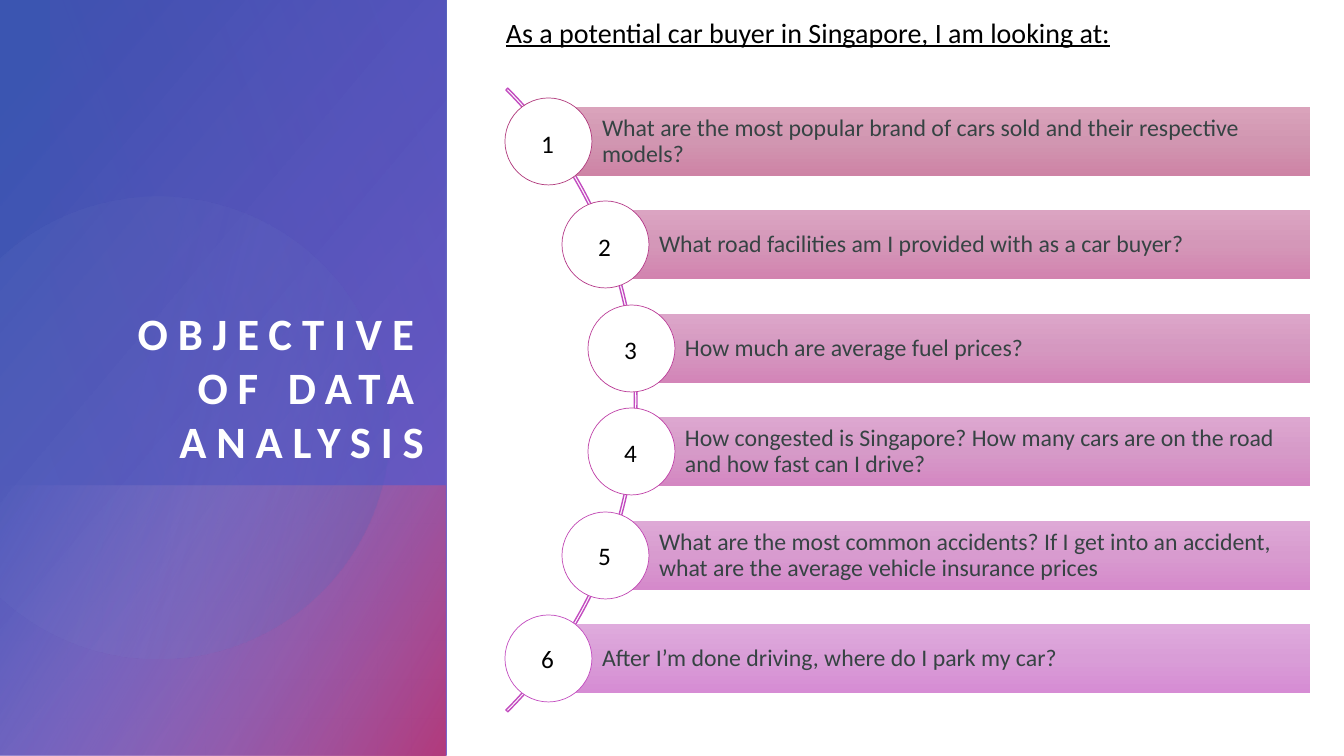
import math

import pptx
import pptx.util
import pptx.dml.color
import pptx.enum.shapes
import pptx.enum.text
import pptx.oxml.ns
from lxml import etree

SHAPES = pptx.enum.shapes.MSO_SHAPE
ALIGN = pptx.enum.text.PP_ALIGN
ANCHOR = pptx.enum.text.MSO_ANCHOR
FIT = pptx.enum.text.MSO_AUTO_SIZE
qn = pptx.oxml.ns.qn

EMU_PER_PX = 914400 / 100.8
COLOURS = {
    "white": "FFFFFF", "black": "000000", "text": "364343", "arc": "C34DC0",
    "blue": "3B55B1", "violet": "644DC3", "purple": "833BB1",
    "lilac": "A294DB", "pink": "B13B7D", "haze": "8496D6",
    "top1": "DAA3BB", "mid1": "D196B1", "low1": "CE83A5", "ring1": "B13B7D",
    "top2": "DBA4C2", "mid2": "D497B8", "low2": "D283AF", "ring2": "B63D8B",
    "top3": "DCA6C9", "mid3": "D598C0", "low3": "D385B8", "ring3": "BC3F99",
    "top4": "DDA7D0", "mid4": "D69AC8", "low4": "D487C2", "ring4": "C042A8",
    "top5": "DEA9D6", "mid5": "D89BCF", "low5": "D589CB", "ring5": "C148B4",
    "top6": "DFABDD", "mid6": "D99DD7", "low6": "D68CD4", "ring6": "C34DC0",
}

# Each question with the left edge of its circle
QUESTIONS = [
    (505, "What are the most popular brand of cars sold and their respective models?"),
    (562, "What road facilities am I provided with as a car buyer?"),
    (588, "How much are average fuel prices?"),
    (588, "How congested is Singapore? How many cars are on the road and how fast can I drive?"),
    (562, "What are the most common accidents? If I get into an accident, "
          "what are the average vehicle insurance prices"),
    (505, "After I’m done driving, where do I park my car?"),
]
CIRCLE, BAR_HEIGHT, BAR_RIGHT = 87, 69, 1310


def px(length):
    return pptx.util.Emu(round(length * EMU_PER_PX))


def colour(name):
    return pptx.dml.color.RGBColor.from_string(COLOURS[name])


def write(frame, text, size=18, color="black", font="Calibri", bold=False,
          underline=False, align=ALIGN.LEFT, anchor=ANCHOR.TOP, insets=(10, 5, 10, 5),
          fit=FIT.NONE, line_spacing=None, tracking=None):
    frame.word_wrap = True
    frame.auto_size = fit
    frame.vertical_anchor = anchor
    (frame.margin_left, frame.margin_top,
     frame.margin_right, frame.margin_bottom) = map(px, insets)
    para = frame.paragraphs[0]
    para.alignment = align
    para.line_spacing = line_spacing
    span = para.add_run()
    span.text = text
    span.font.name = font
    span.font.size = pptx.util.Pt(size)
    span.font.bold = bold
    span.font.underline = underline
    span.font.color.rgb = colour(color)
    if tracking:
        span.font._element.set("spc", str(tracking * 100))


class SlideBuilder:
    def __init__(self, page):
        self.page = page

    def finish(self, shape, fill=None, line=None, line_width=1):
        shape.shadow.inherit = False
        if fill:
            shape.fill.solid()
            shape.fill.fore_color.rgb = colour(fill)
        else:
            shape.fill.background()
        if line:
            shape.line.color.rgb = colour(line)
            shape.line.width = pptx.util.Pt(line_width)
        else:
            shape.line.fill.background()
        return shape

    def shape(self, kind, left, top, width, height, **style):
        box = self.page.shapes.add_shape(kind, px(left), px(top), px(width), px(height))
        return self.finish(box, **style)

    def gradient(self, shape, stops, angle):
        """Stops are (position %, colour name, opacity %)."""
        shape.fill.gradient()
        grad = shape._element.spPr.find(qn("a:gradFill"))
        for child in list(grad):
            grad.remove(child)
        stop_list = etree.SubElement(grad, qn("a:gsLst"))
        for position, name, opacity in stops:
            stop = etree.SubElement(stop_list, qn("a:gs"), pos=str(position * 1000))
            tint = etree.SubElement(stop, qn("a:srgbClr"), val=COLOURS[name])
            if opacity < 100:
                etree.SubElement(tint, qn("a:alpha"), val=str(opacity * 1000))
        etree.SubElement(grad, qn("a:lin"), ang=str(angle * 60000), scaled="0")
        grad.set("rotWithShape", "1")

    def panel(self, left, top, width, height, rotation, stops, angle):
        box = self.shape(SHAPES.RECTANGLE, left, top, width, height)
        box.rotation = rotation
        box._element.spPr.find(qn("a:xfrm")).set("flipH", "1")
        self.gradient(box, stops, angle)

    def cut_disc(self, centre_x, centre_y, radius, stops, angle):
        """Disc cut off by the left edge of the slide."""
        limit = math.acos(-centre_x / radius)
        steps = 120
        turns = [limit * (2 * step / steps - 1) for step in range(steps + 1)]
        points = [(px(centre_x + radius * math.cos(turn)),
                   px(centre_y + radius * math.sin(turn))) for turn in turns]
        builder = self.page.shapes.build_freeform(*points[0])
        builder.add_line_segments(points[1:], close=True)
        self.gradient(self.finish(builder.convert_to_shape()), stops, angle)

    def title(self, text, left, top, width, height, **style):
        box = self.page.shapes.title
        box.left, box.top, box.width, box.height = map(px, (left, top, width, height))
        self.page.shapes._spTree.append(box._element)
        write(box.text_frame, text, **style)

    def label(self, text, left, top, width, height, **style):
        box = self.page.shapes.add_textbox(px(left), px(top), px(width), px(height))
        write(box.text_frame, text, fit=FIT.SHAPE_TO_FIT_TEXT, **style)

    def question(self, index, left, text):
        number = index + 1
        top = round(107 + 103.4 * index)
        bar_left = left + 43
        bar = self.shape(SHAPES.RECTANGLE, bar_left, top, BAR_RIGHT - bar_left, BAR_HEIGHT)
        self.gradient(bar, [(0, f"top{number}", 100), (50, f"mid{number}", 100),
                            (100, f"low{number}", 100)], 90)
        write(bar.text_frame, text, size=17, color="text", anchor=ANCHOR.MIDDLE,
              insets=(54, 5, 5, 5), line_spacing=0.9)
        self.shape(SHAPES.OVAL, left, top - 9, CIRCLE, CIRCLE,
                   fill="white", line=f"ring{number}", line_width=0.5)


def main():
    deck = pptx.Presentation()
    deck.slide_width, deck.slide_height = px(1344), px(756)
    slide = SlideBuilder(deck.slides.add_slide(deck.slide_layouts[5]))

    # Left panel
    slide.panel(-155, 155, 756, 446, 270, [(8, "blue", 100), (100, "violet", 89)], 50)
    slide.panel(87, 398, 271, 446, 270, [(0, "lilac", 0), (99, "pink", 100)], 60)
    slide.cut_disc(158, 428, 231, [(36, "haze", 6), (100, "blue", 26)], 14)
    slide.panel(5, 45, 485, 395, 90, [(0, "violet", 29), (100, "purple", 0)], 110)
    slide.title("OBJECTIVE OF DATA ANALYSIS", 50, 96, 374, 371, size=32, color="white",
                bold=True, align=ALIGN.RIGHT, anchor=ANCHOR.BOTTOM,
                insets=(0, 0, 0, 0), tracking=7)

    # Arc and questions
    arc = slide.shape(SHAPES.BLOCK_ARC, -245, -41, 882, 882, line="arc")
    for position, value in enumerate((189, 27, 0.003)):
        arc.adjustments[position] = value
    for index, (left, text) in enumerate(QUESTIONS):
        slide.question(index, left, text)

    # Heading and numbers
    slide.label("As a potential car buyer in Singapore, I am looking at:",
                496, 10, 699, 44, size=20, underline=True)
    for index, (left, _) in enumerate(QUESTIONS):
        slide.label(str(index + 1), left + 24, 123 + 103 * index, 37, 40, align=ALIGN.CENTER)

    deck.save("out.pptx")


if __name__ == "__main__":
    main()
